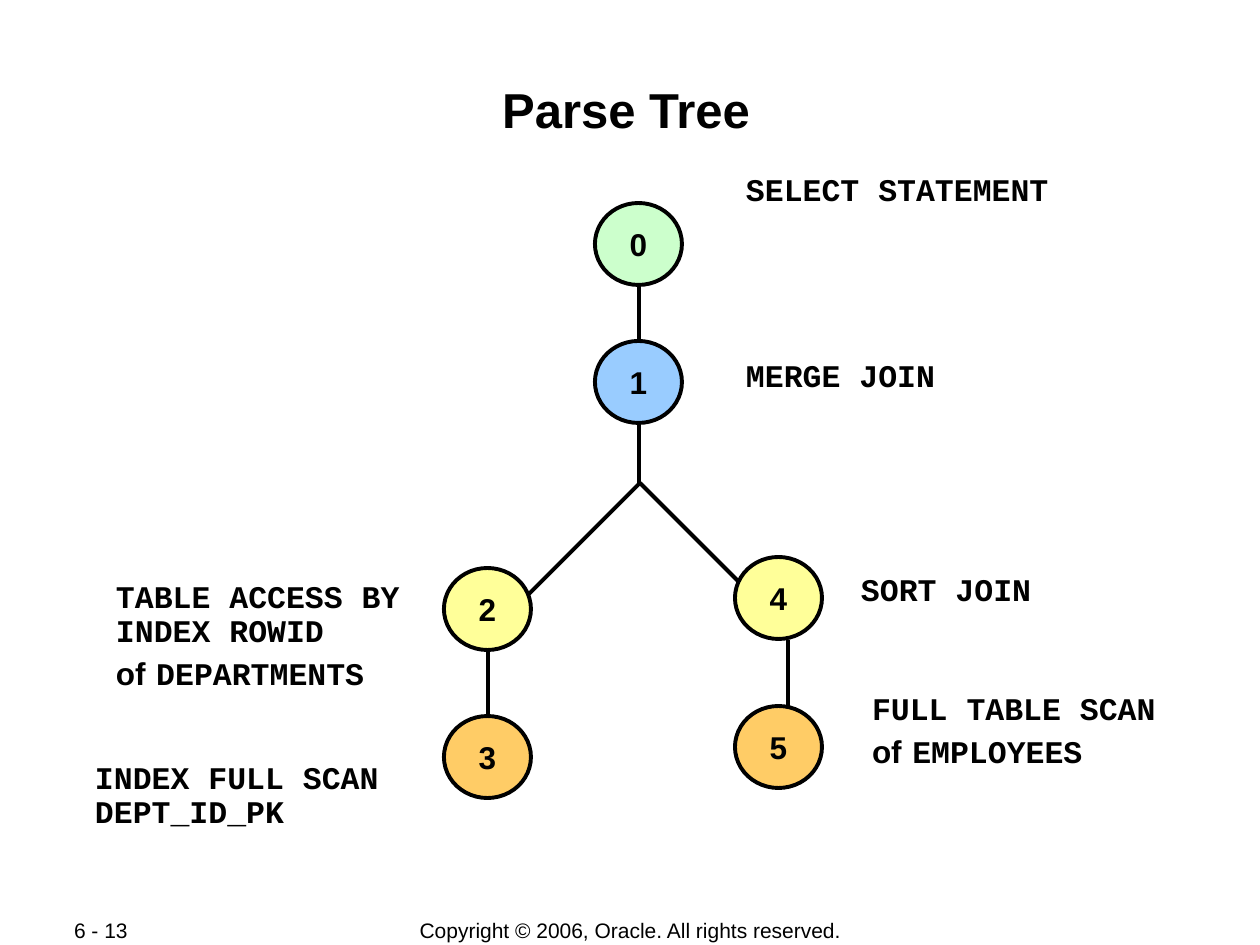
"""Build a slide that shows the parse tree of a merge join."""
from lxml import etree
from pptx import Presentation
from pptx import util as u
from pptx.dml.color import RGBColor
from pptx.enum import shapes, text
from pptx.oxml.ns import qn

SCALE = 914400 / 126
MONO = {"name": "Courier New", "size": u.Pt(18), "bold": True}
SANS = {"name": "Arial", "size": u.Pt(18), "bold": True}
GAP = {"name": "Times New Roman", "size": u.Pt(24), "bold": False}
HEAD = {"name": "Arial", "size": u.Pt(28), "bold": True}
FOOT = {"name": "Arial", "size": u.Pt(12), "bold": False}
PAD = {"margin_left": 11, "margin_right": 11, "margin_top": 6, "margin_bottom": 6}
LEFT, MID = text.PP_ALIGN.LEFT, text.PP_ALIGN.CENTER
TOP, HALF = text.MSO_ANCHOR.TOP, text.MSO_ANCHOR.MIDDLE
FIXED, GROW = text.MSO_AUTO_SIZE.NONE, text.MSO_AUTO_SIZE.SHAPE_TO_FIT_TEXT


def px(*sizes):
    return [round(size * SCALE) for size in sizes]


def write(shape, paras, align=LEFT, anchor=TOP, lead=1.0, fit=FIXED, pad=PAD):
    frame = shape.text_frame
    frame.word_wrap = True
    frame.auto_size = fit
    frame.vertical_anchor = anchor
    for side, size in pad.items():
        setattr(frame, side, px(size)[0])
    for num, runs in enumerate(paras):
        para = frame.add_paragraph() if num else frame.paragraphs[0]
        para.alignment = align
        para.line_spacing = lead
        for words, form in runs:
            if words == "\n":
                para.add_line_break()
                continue
            run = para.add_run()
            run.text = words
            run.font.color.rgb = RGBColor.from_string("000000")
            for key, value in form.items():
                setattr(run.font, key, value)


deck = Presentation()
deck.slide_width, deck.slide_height = px(1260, 945)
slide = deck.slides.add_slide(deck.slide_layouts[6])
tree = slide.shapes

for box, words, align in [
    ((63, 917, 134, 26), "6 - 13", LEFT),
    ((348, 917, 565, 26), "Copyright © 2006, Oracle. All rights reserved.", MID),
]:
    write(tree.add_textbox(*px(*box)), [[(words, FOOT)]], align, HALF)

for ends in [
    (788, 640, 788, 715),
    (640, 483, 766, 609),
    (640, 483, 514, 609),
    (639, 276, 639, 352),
    (639, 410, 639, 483),
    (488, 640, 488, 715),
]:
    edge = tree.add_connector(shapes.MSO_CONNECTOR.STRAIGHT, *px(*ends))
    edge.line.color.rgb = RGBColor.from_string("000000")
    edge.line.width = u.Pt(2.25)
    etree.SubElement(edge._element.spPr, qn("a:effectLst"))

title = tree.add_textbox(*px(122, 79, 1008, 114))
write(title, [[("Parse Tree", HEAD)]], MID, pad=dict.fromkeys(PAD, 1))

for name, left, top, fill in [
    ("0", 595, 203, "CCFFCC"),
    ("1", 595, 341, "99CCFF"),
    ("2", 444, 568, "FFFF99"),
    ("3", 444, 716, "FFCC66"),
    ("4", 735, 557, "FFFF99"),
    ("5", 735, 706, "FFCC66"),
]:
    node = tree.add_shape(shapes.MSO_SHAPE.OVAL, *px(left, top, 87, 82))
    node.shadow.inherit = False
    node.fill.solid()
    node.fill.fore_color.rgb = RGBColor.from_string(fill)
    node.line.color.rgb = RGBColor.from_string("000000")
    node.line.width = u.Pt(2.25)
    write(node, [[(name, SANS)]], MID, HALF)

for box, lines, table in [
    ((735, 168, 325, 45), ["SELECT STATEMENT"], ""),
    ((735, 354, 368, 45), ["MERGE JOIN"], ""),
    ((850, 568, 314, 45), ["SORT JOIN"], ""),
    ((861, 687, 336, 91), ["FULL TABLE SCAN"], "EMPLOYEES"),
    ((105, 575, 377, 159), ["TABLE ACCESS BY INDEX ROWID"], "DEPARTMENTS"),
    ((84, 756, 399, 79), ["INDEX FULL SCAN", "DEPT_ID_PK"], ""),
]:
    paras = [[(line, MONO)] for line in lines]
    if table:
        paras[-1] += [("\n", MONO), ("of", SANS), (" ", GAP), (table, MONO)]
    write(tree.add_textbox(*px(*box)), paras, lead=0.9, fit=GROW)

deck.save("out.pptx")
